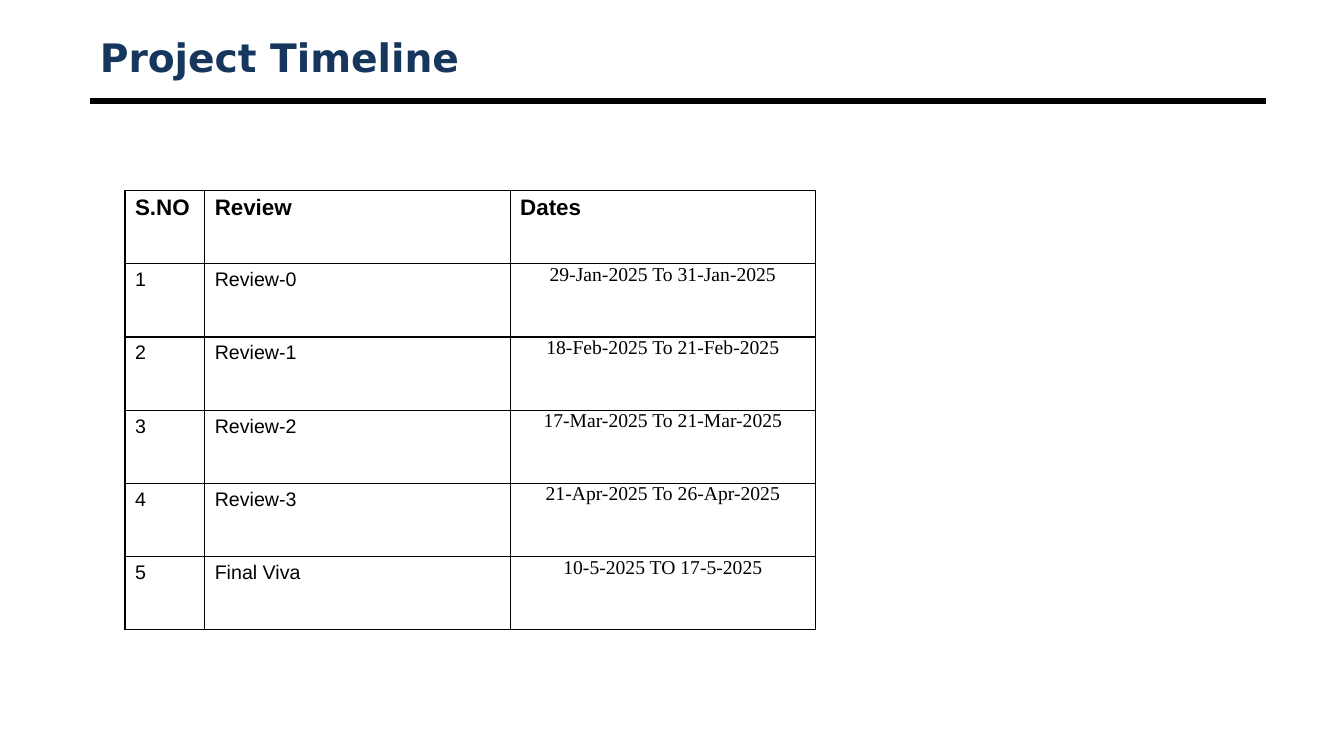
from lxml import etree
from pptx import Presentation
from pptx.dml.color import RGBColor
from pptx.enum.shapes import MSO_CONNECTOR
from pptx.enum.text import MSO_ANCHOR, PP_ALIGN
from pptx.oxml.ns import qn
from pptx.util import Inches, Pt

STRAIGHT = MSO_CONNECTOR.STRAIGHT
MIDDLE = MSO_ANCHOR.MIDDLE
LEFT, CENTER = PP_ALIGN.LEFT, PP_ALIGN.CENTER

COLORS = {"title": "17365D", "ink": "000000"}
COLUMN_WIDTHS = (0.79, 3.03, 3.03)
HEADINGS = ("S.NO", "Review", "Dates")
REVIEWS = (
    ("Review-0", "29-Jan-2025 To 31-Jan-2025"),
    ("Review-1", "18-Feb-2025 To 21-Feb-2025"),
    ("Review-2", "17-Mar-2025 To 21-Mar-2025"),
    ("Review-3", "21-Apr-2025 To 26-Apr-2025"),
    ("Final Viva", "10-5-2025 TO 17-5-2025"),
)


def style_paragraph(para, font_name, size, color, bold=False, align=LEFT):
    para.alignment = align
    para.font.name = font_name
    para.font.size = Pt(size)
    para.font.bold = bold
    para.font.color.rgb = RGBColor.from_string(COLORS[color])


def add_borders(cell, width=1):
    properties = cell._tc.get_or_add_tcPr()
    for side in ("lnL", "lnR", "lnT", "lnB"):
        line = etree.SubElement(properties, qn(f"a:{side}"), w=str(Pt(width)))
        fill = etree.SubElement(line, qn("a:solidFill"))
        etree.SubElement(fill, qn("a:srgbClr"), val=COLORS["ink"])


def add_heading(page, left, top, width):
    # Title
    title = page.shapes.title
    title.left, title.top = Inches(left), Inches(top)
    title.width, title.height = Inches(width), Inches(0.53)
    title.text_frame.text = "Project Timeline"
    title.text_frame.vertical_anchor = MIDDLE
    style_paragraph(title.text_frame.paragraphs[0], "DejaVu Sans", 28, "title", bold=True)

    # Rule under the title
    rule_y = Inches(top + 0.7)
    rule = page.shapes.add_connector(
        STRAIGHT, Inches(left), rule_y, Inches(left + width), rule_y)
    rule.line.color.rgb = RGBColor.from_string(COLORS["ink"])
    rule.line.width = Pt(4.5)
    etree.SubElement(rule._element.spPr, qn("a:effectLst"))


def add_timeline(page, left, top, width, height):
    rows = [HEADINGS] + [
        (str(number), *review) for number, review in enumerate(REVIEWS, start=1)]
    table = page.shapes.add_table(
        len(rows), len(HEADINGS),
        Inches(left), Inches(top), Inches(width), Inches(height)).table
    table.first_row = table.horz_banding = False
    for column, column_width in zip(table.columns, COLUMN_WIDTHS):
        column.width = Inches(column_width)

    for row_index, row in enumerate(rows):
        for column_index, text in enumerate(row):
            cell = table.cell(row_index, column_index)
            cell.text = text
            add_borders(cell)
            cell.fill.background()
            para = cell.text_frame.paragraphs[0]
            if row_index == 0:
                style_paragraph(para, "Arial", 16, "ink", bold=True)
            elif column_index < 2:
                style_paragraph(para, "Arial", 14, "ink")
            else:
                # Dates sit centred, tight to the top of the cell
                style_paragraph(para, "Times New Roman", 14, "ink", align=CENTER)
                cell.margin_left = cell.margin_right = 0
                cell.margin_top = cell.margin_bottom = 0


def main():
    deck = Presentation()
    deck.slide_width, deck.slide_height = Inches(13.33), Inches(7.5)
    page = deck.slides.add_slide(deck.slide_layouts[5])
    add_heading(page, 0.89, 0.3, 11.67)
    add_timeline(page, 1.24, 1.89, sum(COLUMN_WIDTHS), 4.36)
    deck.save("out.pptx")


if __name__ == "__main__":
    main()
